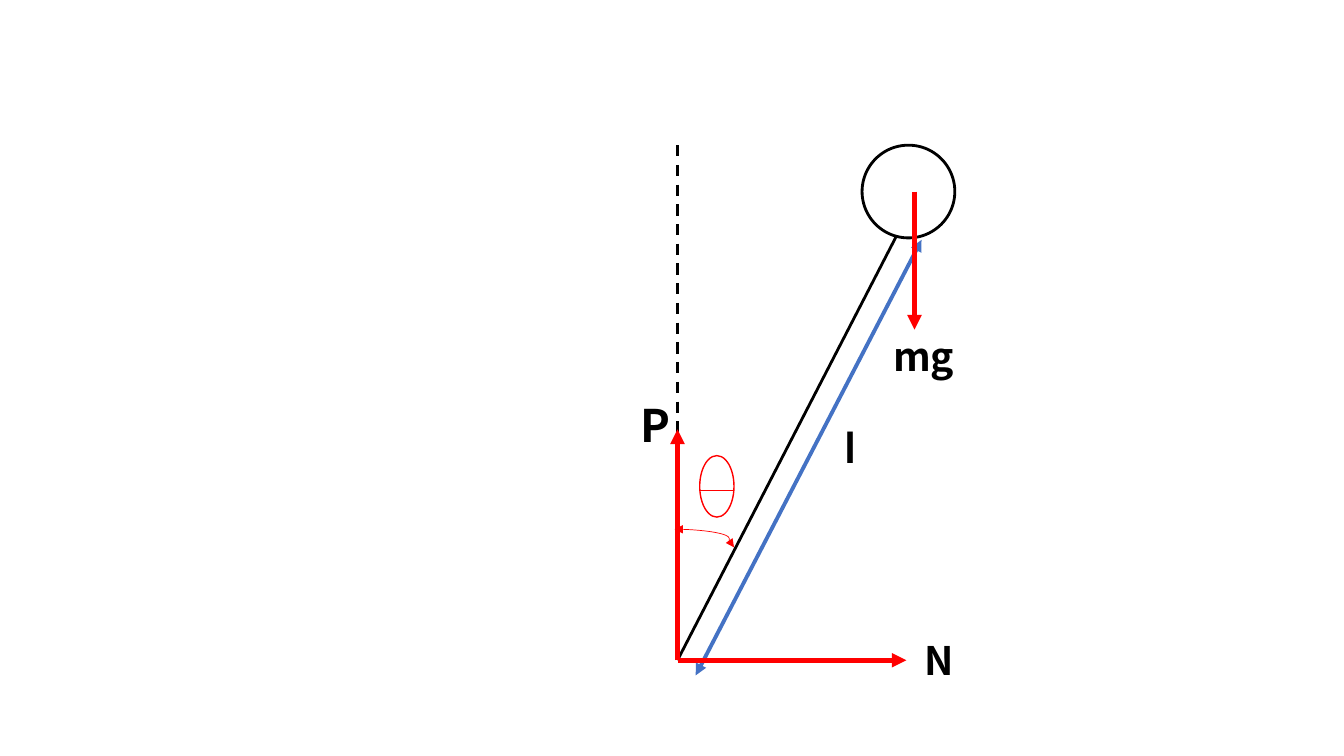
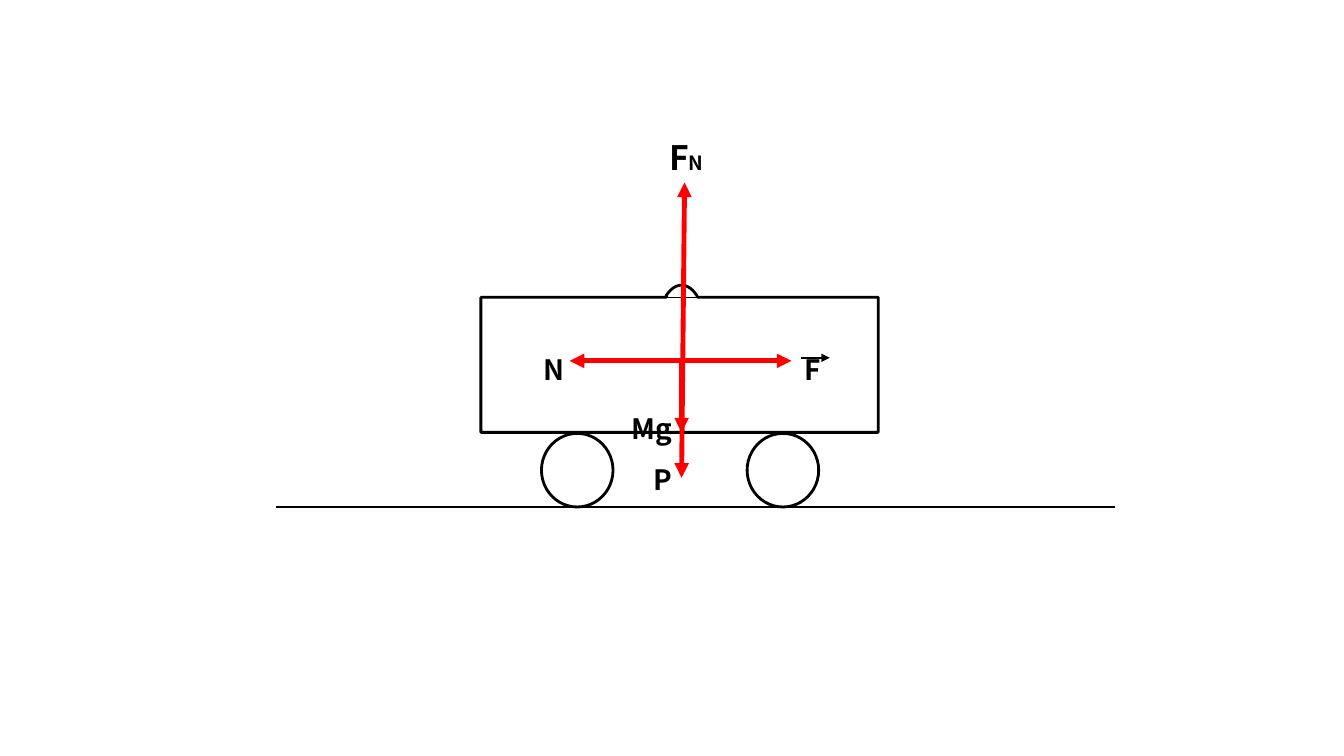
from lxml import etree
from pptx import Presentation
from pptx.dml.color import RGBColor
from pptx.enum.dml import MSO_LINE
from pptx.enum.shapes import MSO_CONNECTOR, MSO_SHAPE
from pptx.enum.text import MSO_AUTO_SIZE
from pptx.oxml.ns import qn
from pptx.util import Inches, Pt

STRAIGHT, CURVE = MSO_CONNECTOR.STRAIGHT, MSO_CONNECTOR.CURVE
OVAL = MSO_SHAPE.OVAL
DASH = MSO_LINE.DASH
FIT_TEXT = MSO_AUTO_SIZE.SHAPE_TO_FIT_TEXT


class Theme:
    ink = RGBColor(0x00, 0x00, 0x00)
    paper = RGBColor(0xFF, 0xFF, 0xFF)
    force = RGBColor(0xFF, 0x00, 0x00)
    length = RGBColor(0x44, 0x72, 0xC4)
    font = "Noto Sans CJK SC"
    length_font = "Calibri"
    huge, large, medium, small, subscript = 32, 28, 24, 20, 14
    hair, thin, vector, body, measure, arrow = 0.5, 1, 1.5, 2, 2.75, 3.5


def add_line(s, start, end, color=Theme.ink, width=Theme.body, ends=(), kind=STRAIGHT):
    """Draw a line; ends names the arrowheads, out of headEnd and tailEnd."""
    cn = s.shapes.add_connector(kind, *[Inches(v) for v in (*start, *end)])
    cn.line.color.rgb = color
    cn.line.width = Pt(width)
    ln = cn.line._get_or_add_ln()
    for tag in ends:
        etree.SubElement(ln, qn("a:" + tag), type="triangle")
    etree.SubElement(cn._element.spPr, qn("a:effectLst"))
    return cn


def add_label(s, box, runs, font=Theme.font):
    """Write (text, size) runs in a box given as left, top, width, height."""
    sp = s.shapes.add_textbox(*[Inches(v) for v in box])
    tf = sp.text_frame
    tf.word_wrap = True
    tf.auto_size = FIT_TEXT
    for text, size in runs:
        r = tf.paragraphs[0].add_run()
        r.text = text
        r.font.name = font
        r.font.size = Pt(size)
        r.font.bold = True
        r.font.color.rgb = Theme.ink


prs = Presentation()
prs.slide_width, prs.slide_height = Inches(13.33), Inches(7.5)
pendulum, cart = [prs.slides.add_slide(prs.slide_layouts[6]) for _ in range(2)]
for s in (pendulum, cart):
    s.background.fill.solid()
    s.background.fill.fore_color.rgb = Theme.paper

# Vertical axis, rod and ground
pivot = (6.72, 6.55)
axis = add_line(pendulum, (6.72, 1.44), pivot)
axis.line.dash_style = DASH
add_line(pendulum, pivot, (8.99, 2.15))
add_line(cart, (2.74, 5.03), (11.06, 5.03))

# Bob, ring of the theta sign, and wheels
for s, box, fill, color, width in (
    (pendulum, (8.55, 1.44, 0.92, 0.92), Theme.paper, Theme.ink, Theme.body),
    (pendulum, (6.94, 4.52, 0.34, 0.61), None, Theme.force, Theme.thin),
    (cart, (5.37, 4.3, 0.71, 0.73), None, Theme.ink, Theme.body),
    (cart, (7.41, 4.3, 0.71, 0.73), None, Theme.ink, Theme.body),
):
    sp = s.shapes.add_shape(OVAL, *[Inches(v) for v in box])
    sp.shadow.inherit = False
    if fill is None:
        sp.fill.background()
    else:
        sp.fill.solid()
        sp.fill.fore_color.rgb = fill
    sp.line.color.rgb = color
    sp.line.width = Pt(width)

# Angle arc, turned half round so that it starts at the rod
arc = add_line(pendulum, (6.69, 5.25), (7.28, 5.43), Theme.force, Theme.hair,
               ("headEnd", "tailEnd"), CURVE)
arc._element.spPr.find(qn("a:xfrm")).set("rot", "10800000")
geometry = arc._element.spPr.find(qn("a:prstGeom"))
guides = geometry.find(qn("a:avLst"))
if guides is None:
    guides = etree.SubElement(geometry, qn("a:avLst"))
etree.SubElement(guides, qn("a:gd"), name="adj1", fmla="val 8100")

# Cart body with a dome sampled from a cubic curve
left, right, roof, floor, middle = 4.77, 8.71, 2.95, 4.29, 6.76
half_dome = []
for i in range(13):
    t = i / 12
    u = 1 - t
    dx = 0.06 * 3 * u * u * t + 0.11 * 3 * u * t * t + 0.15 * t ** 3
    dy = 0.04 * 3 * u * t * t + 0.10 * t ** 3
    half_dome.append((dx, 2.83 + dy))
outline = [(middle + dx, y) for dx, y in half_dome]
outline += [(6.92, roof), (right, roof), (right, floor), (left, floor), (left, roof), (6.61, roof)]
outline += [(middle - dx, y) for dx, y in reversed(half_dome[1:])]
points = [(Inches(x), Inches(y)) for x, y in outline]
builder = cart.shapes.build_freeform(*points[0], scale=1.0)
builder.add_line_segments(points[1:], close=True)
sp = builder.convert_to_shape()
sp.shadow.inherit = False
sp.fill.background()
sp.line.color.rgb = Theme.ink
sp.line.width = Pt(Theme.body)

# Theta bar, rod length, dome base and vector mark
add_line(pendulum, (6.94, 4.86), (7.27, 4.86), Theme.force, Theme.hair)
add_line(pendulum, (6.9, 6.7), (9.14, 2.38), Theme.length, Theme.measure, ("headEnd", "tailEnd"))
add_line(cart, (6.61, roof), (6.92, roof), width=Theme.hair)
add_line(cart, (7.94, 3.55), (8.23, 3.55), width=Theme.vector, ends=("tailEnd",))

# Forces
for s, start, end, ends in (
    (pendulum, pivot, (6.72, 4.26), ("tailEnd",)),
    (pendulum, pivot, (8.99, 6.55), ("tailEnd",)),
    (pendulum, (9.07, 1.9), (9.07, 3.27), ("tailEnd",)),
    (cart, (6.76, 3.58), (7.85, 3.58), ("tailEnd",)),
    (cart, (6.79, 1.81), (6.76, 4.74), ("headEnd", "tailEnd")),
    (cart, (6.76, 3.58), (6.76, floor), ("tailEnd",)),
    (cart, (6.79, 3.58), (5.65, 3.58), ("tailEnd",)),
):
    add_line(s, start, end, Theme.force, Theme.arrow, ends)

# Labels
add_label(pendulum, (8.28, 4.11, 0.46, 0.64), [("l", Theme.huge)], Theme.length_font)
for s, box, runs in (
    (pendulum, (6.25, 3.9, 0.94, 0.64), [("P", Theme.huge)]),
    (pendulum, (9.07, 6.26, 0.77, 0.57), [("N", Theme.large)]),
    (pendulum, (8.76, 3.25, 1.01, 0.57), [("mg", Theme.large)]),
    (cart, (7.88, 3.45, 0.59, 0.44), [("F", Theme.small)]),
    (cart, (6.54, 1.31, 0.72, 0.5), [("F", Theme.medium), ("N", Theme.subscript)]),
    (cart, (6.17, 4.03, 0.74, 0.44), [("Mg", Theme.small)]),
    (cart, (6.38, 4.54, 0.29, 0.44), [("P", Theme.small)]),
    (cart, (5.29, 3.45, 0.45, 0.44), [("N", Theme.small)]),
):
    add_label(s, box, runs)

prs.save("out.pptx")
